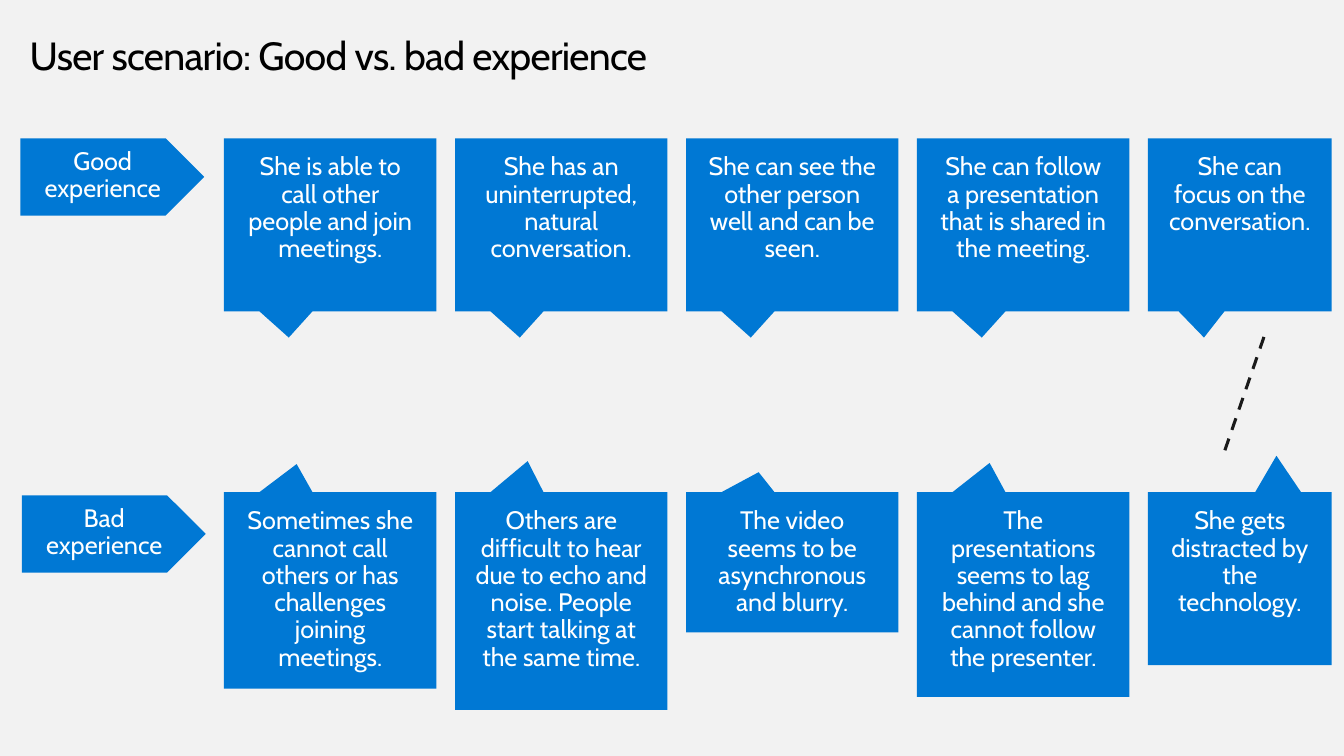
from lxml.etree import SubElement
from pptx import Presentation
from pptx.dml.color import RGBColor
from pptx.enum.dml import MSO_LINE
from pptx.enum.shapes import MSO_CONNECTOR, MSO_SHAPE
from pptx.enum.text import MSO_ANCHOR, PP_ALIGN
from pptx.oxml.ns import qn
from pptx.util import Pt

BLUE = "0078D4"
WHITE = "FFFFFF"

# Column grid, in points
FIRST_LEFT = 163.2
COLUMN_PITCH = 168.3
CARD_WIDTH = 154.8
LAST_CARD_WIDTH = 133.9
GOOD_TOP = 100.8
BAD_TOP = 358.6
GOOD_HEIGHT = 126

GOOD_POINTER = (-0.195, 0.652)
BAD_POINTER = (-0.158, -0.643)
LAST_BAD_POINTER = (0.199, -0.711)

GOOD_STEPS = [
    "She is able to call other people and join meetings.",
    "She has an uninterrupted, natural conversation.",
    "She can see the other person well and can be seen.",
    "She can follow a presentation that is shared in the meeting.",
    "She can focus on the conversation.",
]
# Text, card height and pointer
BAD_STEPS = [
    ("Sometimes she cannot call others or has challenges joining meetings.", 143.2, BAD_POINTER),
    ("Others are difficult to hear due to echo and noise. People start talking at the same time.",
     158.6, BAD_POINTER),
    ("The video seems to be asynchronous and blurry.", 102.2, BAD_POINTER),
    ("The presentations seems to lag behind and she cannot follow the presenter.", 149.2, BAD_POINTER),
    ("She gets distracted by the technology.", 126, LAST_BAD_POINTER),
]
# Text, left and top
ROW_LABELS = [("Good experience", 14.9, GOOD_TOP), ("Bad experience", 16, 360.9)]


def color(hex_string):
    return RGBColor.from_string(hex_string)


def set_attributes(target, values):
    for name, value in values.items():
        setattr(target, name, value)


def write_text(shape, text, size, text_color, margins, paragraph_format):
    frame = shape.text_frame
    left, top, right, bottom = (Pt(margin) for margin in margins)
    set_attributes(frame, {
        "word_wrap": True, "vertical_anchor": MSO_ANCHOR.TOP,
        "margin_left": left, "margin_top": top,
        "margin_right": right, "margin_bottom": bottom,
    })
    paragraph = frame.paragraphs[0]
    set_attributes(paragraph, paragraph_format)
    run = paragraph.add_run()
    run.text = text
    set_attributes(run.font, {"name": "Cabin", "size": Pt(size)})
    run.font.color.rgb = color(text_color)
    return run


def add_title(slide, text):
    box = slide.shapes.add_textbox(Pt(21.6), Pt(23), Pt(936), Pt(34.6))
    run = write_text(box, text, 28.6, "000000", (0, 0, 0, 0), {"line_spacing": 1.0})
    run._r.get_or_add_rPr().set("spc", "-50")


def add_blue_shape(slide, kind, text, left, top, width, height, top_margin):
    shape = slide.shapes.add_shape(kind, Pt(left), Pt(top), Pt(width), Pt(height))
    shape.shadow.inherit = False
    shape.fill.solid()
    shape.fill.fore_color.rgb = color(BLUE)
    shape.line.fill.background()
    write_text(shape, text, 18.4, WHITE, (14.4, top_margin, 14.4, 11.5),
               {"alignment": PP_ALIGN.CENTER, "line_spacing": 0.9})
    return shape


def add_card(slide, column, text, top, height, pointer):
    is_last = column == len(GOOD_STEPS) - 1
    width = LAST_CARD_WIDTH if is_last else CARD_WIDTH
    card = add_blue_shape(slide, MSO_SHAPE.RECTANGULAR_CALLOUT, text,
                          FIRST_LEFT + column * COLUMN_PITCH, top, width, height, 11.5)
    card.adjustments[0], card.adjustments[1] = pointer


def add_dashed_line(slide, start, end):
    points = [Pt(value) for value in start + end]
    connector = slide.shapes.add_connector(MSO_CONNECTOR.STRAIGHT, *points)
    set_attributes(connector.line, {"width": Pt(2.25), "dash_style": MSO_LINE.DASH})
    connector.line.color.rgb = color("1A1A1A")
    SubElement(connector._element.spPr, qn("a:effectLst"))


def main():
    presentation = Presentation()
    set_attributes(presentation, {"slide_width": Pt(979.2), "slide_height": Pt(550.8)})
    slide = presentation.slides.add_slide(presentation.slide_layouts[6])
    slide.background.fill.solid()
    slide.background.fill.fore_color.rgb = color("F2F2F2")

    add_title(slide, "User scenario: Good vs. bad experience")

    # Row labels
    for text, left, top in ROW_LABELS:
        add_blue_shape(slide, MSO_SHAPE.PENTAGON, text, left, top, 133.9, 56.2, 7.2)

    # Scenario cards
    for column, text in enumerate(GOOD_STEPS):
        add_card(slide, column, text, GOOD_TOP, GOOD_HEIGHT, GOOD_POINTER)
    for column, (text, height, pointer) in enumerate(BAD_STEPS):
        add_card(slide, column, text, BAD_TOP, height, pointer)

    # Divider between the last two cards
    add_dashed_line(slide, (920.9, 245.5), (892.1, 329))

    presentation.save("out.pptx")


if __name__ == "__main__":
    main()
